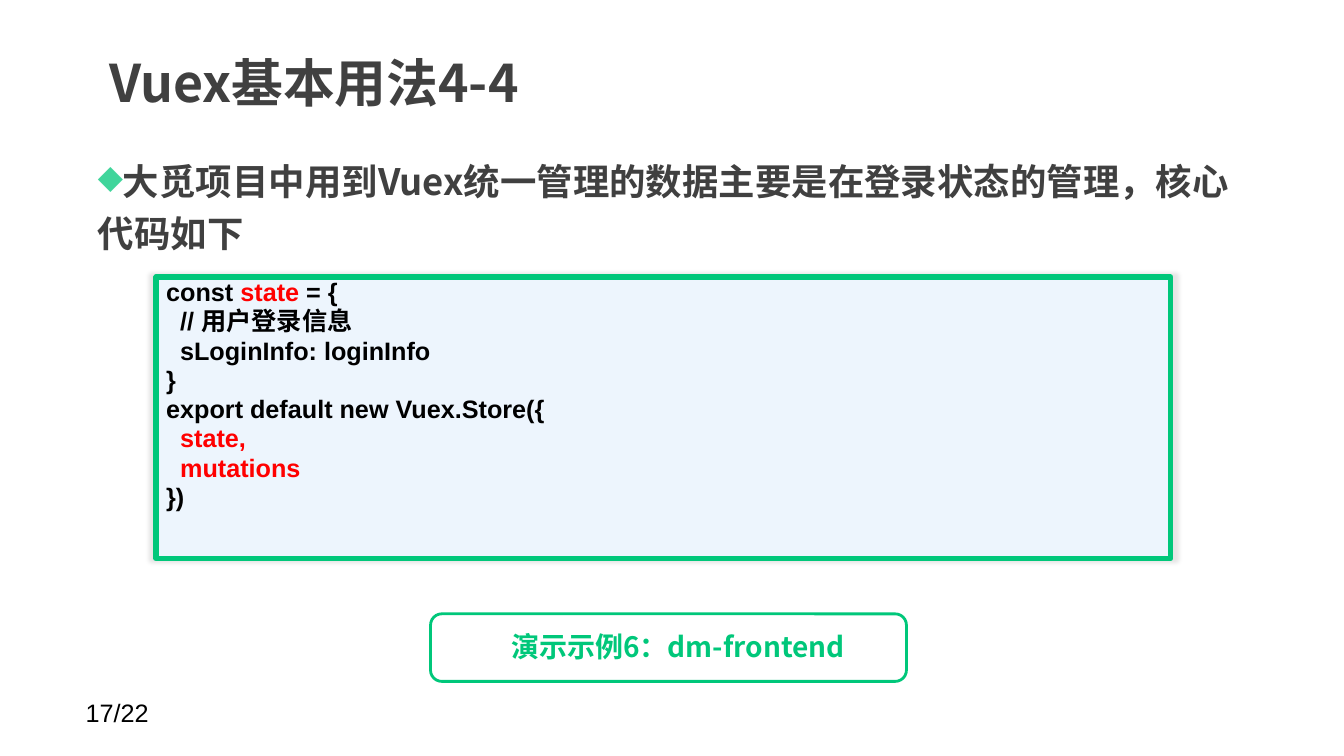
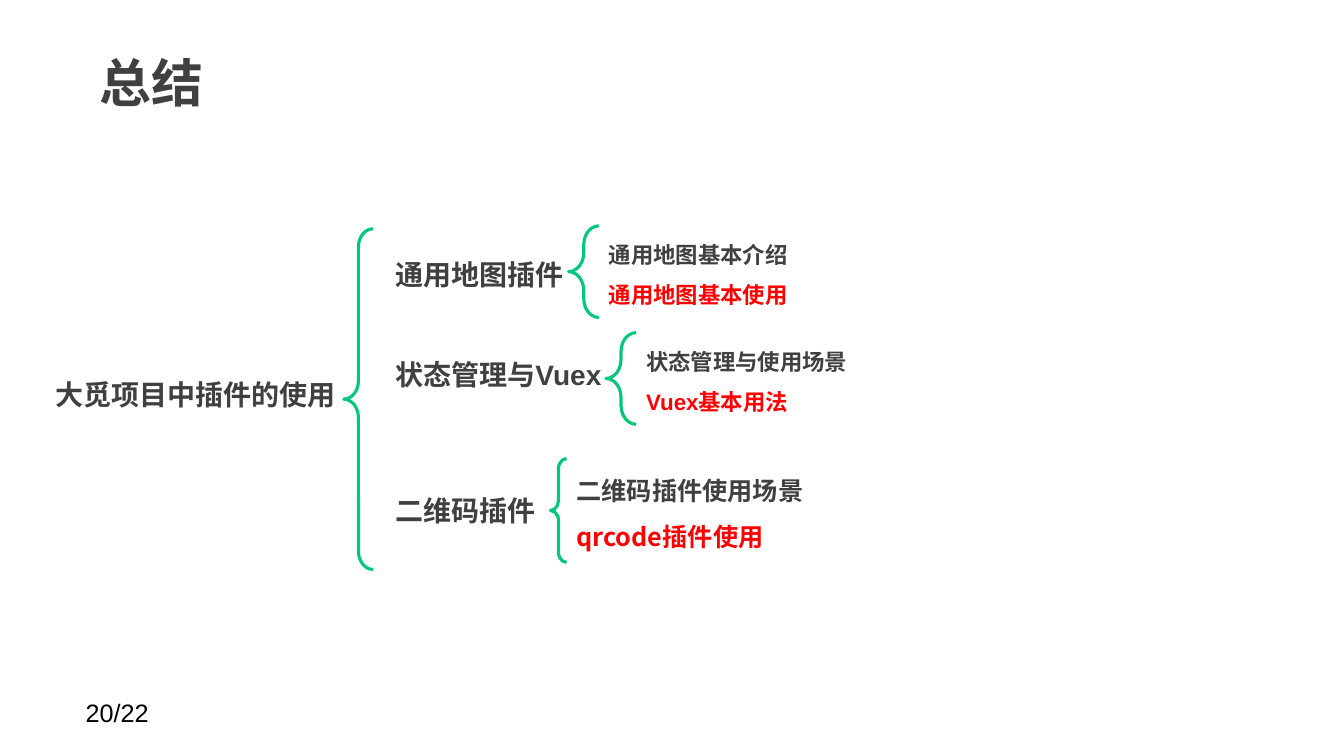
from dataclasses import dataclass

from lxml import etree
from pptx import Presentation
from pptx.dml.color import RGBColor
from pptx.enum.shapes import MSO_SHAPE
from pptx.enum.text import MSO_ANCHOR, PP_ALIGN
from pptx.oxml.ns import qn
from pptx.util import Inches, Pt

ROUND = MSO_SHAPE.ROUNDED_RECTANGLE
BRACE = MSO_SHAPE.LEFT_BRACE
TOP, MIDDLE = MSO_ANCHOR.TOP, MSO_ANCHOR.MIDDLE
LEFT, CENTER = PP_ALIGN.LEFT, PP_ALIGN.CENTER


@dataclass(frozen=True)
class Theme:
    dark: str = "404040"
    black: str = "000000"
    red: str = "FF0000"
    green: str = "00C77A"
    mint: str = "40D59B"
    pale: str = "EDF5FD"
    sans: str = "Arial"
    han: str = "Noto Sans CJK SC"
    title: int = 37
    body: int = 26
    topic: int = 20
    code: int = 18
    leaf: int = 16


T = Theme()


def style(run, size, color, face, bold=True):
    font = run.font
    font.size, font.bold, font.name = Pt(size), bold, face
    font.color.rgb = RGBColor.from_string(color)
    east = etree.SubElement(run._r.get_or_add_rPr(), qn("a:ea"))
    east.set("typeface", T.han)


def write(frame, lines, size, face, bold=True, align=LEFT, space=None, gap=0):
    """Fill a frame with lines, each a list of (text, colour) parts."""
    for i, parts in enumerate(lines):
        para = frame.add_paragraph() if i else frame.paragraphs[0]
        para.alignment = align
        if space:
            para.line_spacing = space
        if i and gap:
            para.space_before = Pt(gap)
        for text, color in parts:
            run = para.add_run()
            run.text = text
            style(run, size, color, face, bold)


def label(slide, box, lines, size, face, anchor=TOP, pad=None, **look):
    """Add a text box; pad holds the side and the top insets."""
    frame = slide.shapes.add_textbox(*map(Inches, box)).text_frame
    frame.word_wrap = True
    frame.vertical_anchor = anchor
    if pad:
        frame.margin_left = frame.margin_right = Inches(pad[0])
        frame.margin_top = frame.margin_bottom = Inches(pad[1])
    write(frame, lines, size, face, **look)
    return frame


def outline(slide, kind, box, width, bend=None, fill=None):
    shape = slide.shapes.add_shape(kind, *map(Inches, box))
    shape.shadow.inherit = False
    if fill:
        shape.fill.solid()
        shape.fill.fore_color.rgb = RGBColor.from_string(fill)
    else:
        shape.fill.background()
    shape.line.color.rgb = RGBColor.from_string(T.green)
    shape.line.width = Pt(width)
    if bend is not None:
        shape.adjustments[0] = bend
    return shape


def glow(shape):
    """Give the shape a faint centred shadow."""
    effects = shape._element.spPr.find(qn("a:effectLst"))
    shade = etree.SubElement(
        effects, qn("a:outerShdw"), blurRad=str(Pt(3)), dist="0", dir="0",
        sx="101000", sy="101000", algn="ctr", rotWithShape="0")
    color = etree.SubElement(shade, qn("a:srgbClr"), val=T.black)
    etree.SubElement(color, qn("a:alpha"), val="10000")


def bullet(para):
    props = para._p.get_or_add_pPr()
    props.set("marL", "0")
    props.set("indent", str(-Inches(0.5)))
    tint = etree.SubElement(props, qn("a:buClr"))
    etree.SubElement(tint, qn("a:srgbClr"), val=T.mint)
    etree.SubElement(props, qn("a:buSzPct"), val="90000")
    etree.SubElement(props, qn("a:buChar"), char="◆")


def page(deck, title, number, shift=0):
    """Add a slide with the shared title and page number."""
    slide = deck.slides.add_slide(deck.slide_layouts[6])
    label(slide, (0.75, 6.87, 2.33, 0.4), [[(number, T.black)]],
          T.code, T.sans, bold=False)
    label(slide, (0.86 + shift, 0.3, 10.41, 1.03), [[(title, T.dark)]],
          T.title, T.han, MIDDLE, (0.13, 0.06))
    return slide


def listing(slide, box, lines):
    panel = outline(slide, ROUND, box, 4, 0, T.pale)
    glow(panel)
    frame = panel.text_frame
    frame.word_wrap = True
    frame.vertical_anchor = TOP
    write(frame, lines, T.code, T.sans, space=0.8, gap=3.6)


def demo(slide, box, text):
    left, top, wide, high = box
    outline(slide, ROUND, box, 2)
    label(slide, (left + 0.7, top + 0.11, wide - 0.8, high - 0.23),
          [[(text, T.green)]], T.topic, T.han)


def usage(deck):
    slide = page(deck, "Vuex基本用法4-4", "17/22", 0.1)
    point = "大觅项目中用到Vuex统一管理的数据主要是在登录状态的管理，核心代码如下"
    frame = label(slide, (0.84, 1.43, 11.69, 1.25), [[(point, T.dark)]],
                  T.body, T.han, pad=(0.13, 0.06), space=1.2)
    bullet(frame.paragraphs[0])
    listing(slide, (1.55, 2.75, 10.06, 2.79), [
        [("const ", T.black), ("state ", T.red), ("= {", T.black)],
        [("  // 用户登录信息", T.black)],
        [("  sLoginInfo: loginInfo", T.black)],
        [("}", T.black)],
        [("export default new Vuex.Store({", T.black)],
        [("  state,", T.red)],
        [("  mutations", T.red)],
        [("})", T.black)],
    ])
    demo(slide, (4.27, 6.09, 4.72, 0.67), "演示示例6：dm-frontend")


def branch(slide, topic, row, brace, leaves, size, face):
    """Place a topic, its brace and its two leaves, the last one in red."""
    left, top, wide, high = brace
    label(slide, (3.82, row, 2.6, 0.44), [[(topic, T.dark)]], T.topic, T.sans)
    outline(slide, BRACE, brace, 2.25, 0.62)
    label(slide, (left + wide, top - 0.03, 3.64, high),
          [[(leaves[0], T.dark)], [(leaves[1], T.red)]],
          size, face, space=1.5)


def summary(deck):
    slide = page(deck, "总结", "20/22")
    label(slide, (0.4, 3.7, 3.08, 0.44), [[("大觅项目中插件的使用", T.dark)]],
          T.topic, T.sans, align=CENTER)
    outline(slide, BRACE, (3.41, 2.27, 0.29, 3.38), 2.25, 0.62)
    branch(slide, "通用地图插件", 2.51, (5.64, 2.24, 0.3, 0.91),
           ("通用地图基本介绍", "通用地图基本使用"), T.leaf, T.sans)
    branch(slide, "状态管理与Vuex", 3.5, (6.01, 3.3, 0.3, 0.91),
           ("状态管理与使用场景", "Vuex基本用法"), T.leaf, T.sans)
    branch(slide, "二维码插件", 4.85, (5.46, 4.55, 0.16, 1.03),
           ("二维码插件使用场景", "qrcode插件使用"), T.code, T.han)


def main():
    deck = Presentation()
    deck.slide_width, deck.slide_height = Inches(13.33), Inches(7.5)
    usage(deck)
    summary(deck)
    deck.save("out.pptx")


if __name__ == "__main__":
    main()
